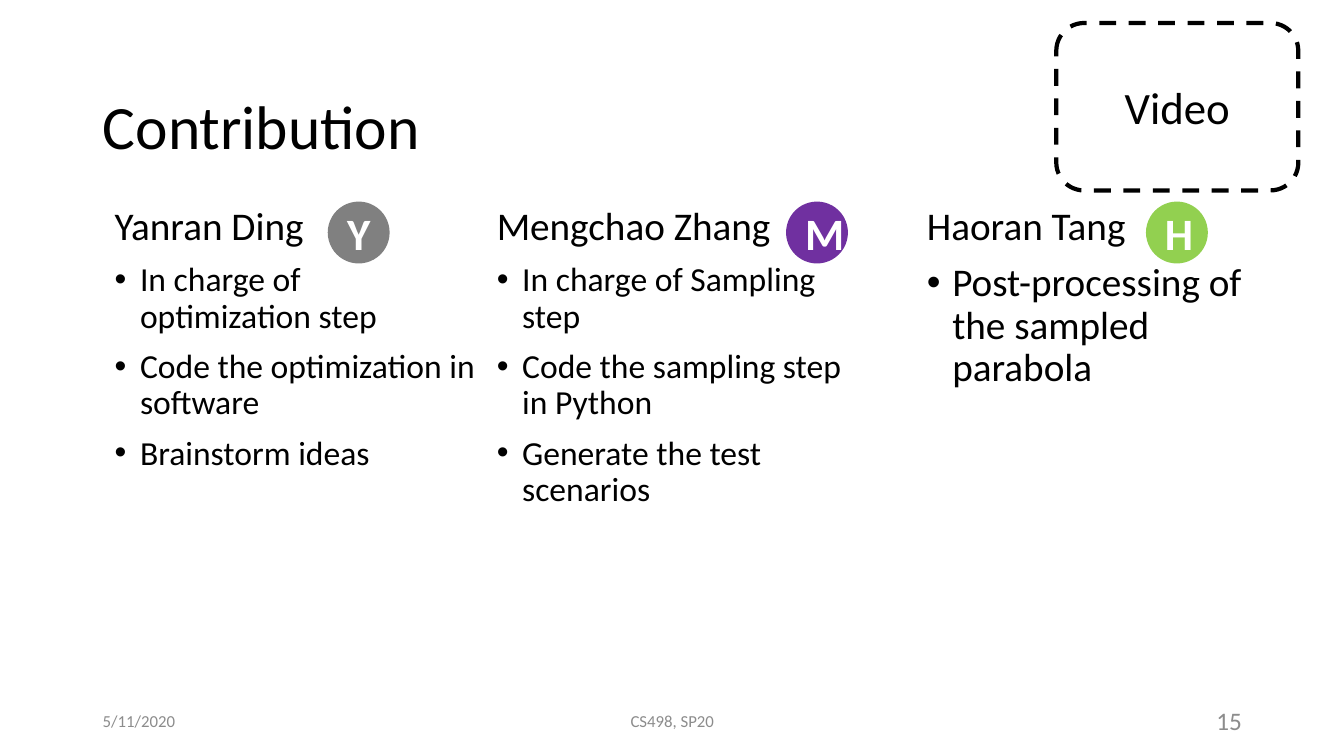
from lxml.etree import SubElement
from pptx import Presentation
from pptx.dml.color import RGBColor
from pptx.enum.dml import MSO_LINE
from pptx.enum.shapes import MSO_SHAPE as Kind
from pptx.enum.text import MSO_ANCHOR as Anchor, PP_ALIGN as Align
from pptx.oxml.ns import qn
from pptx.util import Cm, Pt

COLORS = {
    "black": "000000", "white": "FFFFFF", "foot": "8C8C8C",
    "gray": "808080", "purple": "7030A0", "green": "92D050",
}
BODY = {"line_spacing": 0.9, "space_before": Pt(10)}
MID = {"alignment": Align.CENTER}


def rgb(name):
    return RGBColor.from_string(COLORS[name])


def write(para, text, size, color="black", bold=False, form=MID):
    """Put one run into a paragraph and apply its paragraph format."""
    run = para.add_run()
    run.text = text
    look = {"name": "Calibri", "size": Pt(size), "bold": bold}
    for key, value in look.items():
        setattr(run.font, key, value)
    run.font.color.rgb = rgb(color)
    for key, value in form.items():
        setattr(para, key, value)


deck = Presentation()
deck.slide_width, deck.slide_height = Cm(33.87), Cm(19.05)
slide = deck.slides.add_slide(deck.slide_layouts[6])
shapes = slide.shapes

# Video frame
video = shapes.add_shape(Kind.ROUNDED_RECTANGLE, Cm(26.62), Cm(0.58), Cm(6.1), Cm(4.22))
video.shadow.inherit = False
video.fill.solid()
video.fill.fore_color.rgb = rgb("white")
video.line.color.rgb = rgb("black")
video.line.width = Pt(3)
video.line.dash_style = MSO_LINE.DASH
write(video.text_frame.paragraphs[0], "Video", 32)

# Title and footer
lines = [
    ("Contribution", 2.34, 1.88, 23.7, 2.79, 44, "black", {"line_spacing": 0.9}),
    ("5/11/2020", 2.34, 17.65, 7.62, 1.02, 12, "foot", {}),
    ("CS498, SP20", 11.23, 17.65, 11.43, 1.02, 12, "foot", MID),
    ("15", 23.93, 17.65, 7.62, 1.02, 18, "foot", {"alignment": Align.RIGHT}),
]
for text, left, top, width, height, size, color, form in lines:
    frame = shapes.add_textbox(Cm(left), Cm(top), Cm(width), Cm(height)).text_frame
    frame.word_wrap = True
    frame.vertical_anchor = Anchor.MIDDLE
    write(frame.paragraphs[0], text, size, color, form=form)

# One column and one badge per member
team = [
    ("Yanran Ding", 2.64, 8.26, "gray", 24,
     ["In charge of optimization step", "Code the optimization in software",
      "Brainstorm ideas"]),
    ("Mengchao Zhang", 12.27, 19.81, "purple", 24,
     ["In charge of Sampling step", "Code the sampling step in Python",
      "Generate the test scenarios"]),
    ("Haoran Tang", 23.11, 28.88, "green", 28,
     ["Post-processing of the sampled parabola"]),
]
TOP, SIDE = Cm(5.08), Cm(1.56)
for name, left, spot, color, size, tasks in team:
    frame = shapes.add_textbox(Cm(left), TOP, Cm(9.63), Cm(12.09)).text_frame
    frame.word_wrap = True
    write(frame.paragraphs[0], name, 28, form=BODY)
    for task in tasks:
        para = frame.add_paragraph()
        write(para, task, size, form=BODY)
        props = para._p.get_or_add_pPr()
        props.set("marL", str(Cm(0.64)))
        props.set("indent", str(-Cm(0.64)))
        SubElement(props, qn("a:buFont")).set("typeface", "Arial")
        SubElement(props, qn("a:buChar")).set("char", "•")

    badge = shapes.add_shape(Kind.OVAL, Cm(spot), TOP, SIDE, SIDE)
    badge.shadow.inherit = False
    badge.fill.solid()
    badge.fill.fore_color.rgb = rgb(color)
    badge.line.fill.background()
    write(badge.text_frame.paragraphs[0], name[0], 32, "white", True)

deck.save("out.pptx")
